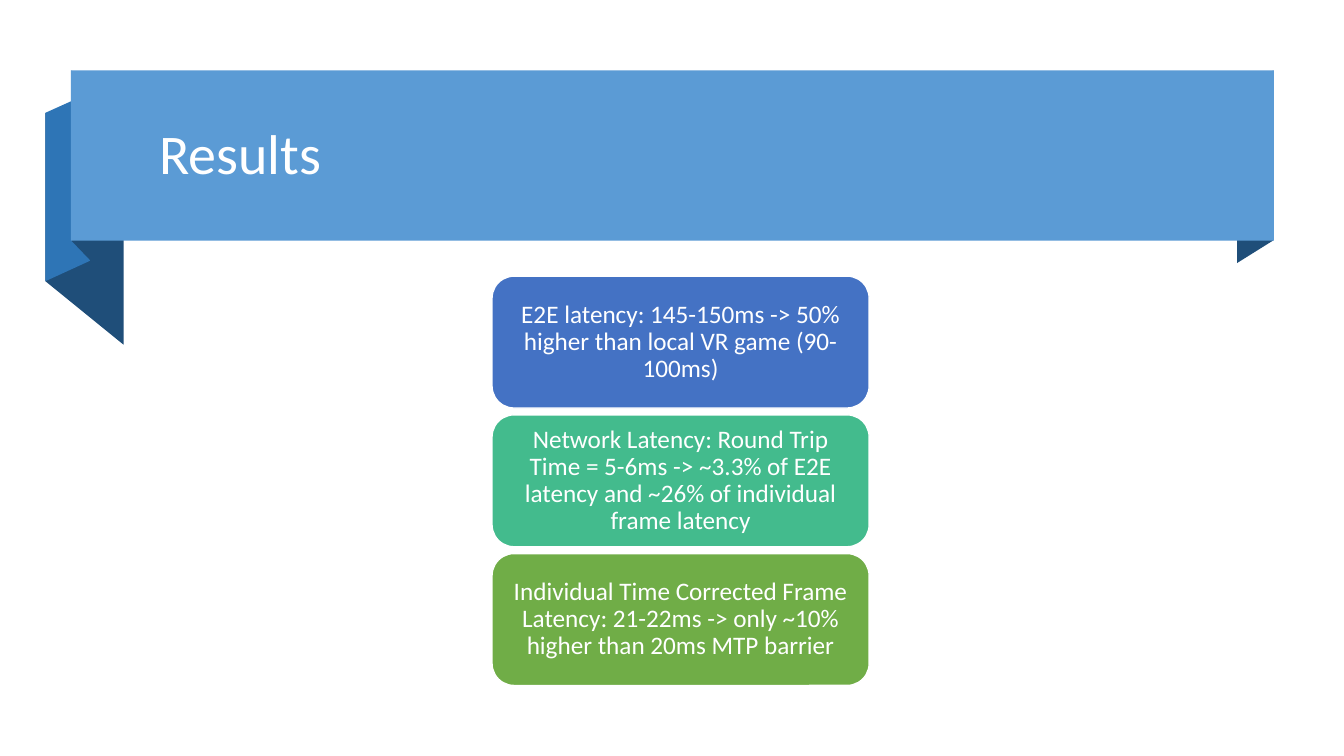
from pptx import Presentation
from pptx.dml.color import RGBColor
from pptx.enum.shapes import MSO_SHAPE
from pptx.enum.text import MSO_ANCHOR, PP_ALIGN
from pptx.util import Inches, Pt

HUES = {
    "white": "FFFFFF", "band": "5B9BD5", "fold": "2E75B6", "dark": "1F4E79",
    "blue": "4472C4", "teal": "43BB8D", "green": "70AD47",
}


class Deck:
    """Places parts on a grid of 100 columns by 100 rows."""

    font = "Calibri"

    def __init__(self):
        self.prs = Presentation()
        self.prs.slide_width, self.prs.slide_height = Inches(13.33), Inches(7.5)
        self.slide = self.prs.slides.add_slide(self.prs.slide_layouts[5])
        self.shapes = self.slide.shapes

    def spot(self, col, row):
        return (round(self.prs.slide_width * col / 100),
                round(self.prs.slide_height * row / 100))

    def box(self, col, row, wide, high):
        return *self.spot(col, row), *self.spot(wide, high)

    def paint(self, shape, hue, edge=None):
        shape.shadow.inherit = False
        shape.fill.solid()
        shape.fill.fore_color.rgb = RGBColor.from_string(HUES[hue])
        if edge:
            shape.line.color.rgb = RGBColor.from_string(HUES[edge])
            shape.line.width = Pt(1)
        else:
            shape.line.fill.background()

    def label(self, shape, text, size, align):
        frame = shape.text_frame
        frame.text, frame.word_wrap = text, True
        frame.vertical_anchor = MSO_ANCHOR.MIDDLE
        line = frame.paragraphs[0]
        line.alignment, line.line_spacing = align, 0.9
        line.font.name, line.font.size = self.font, Pt(size)
        line.font.color.rgb = RGBColor.from_string(HUES["white"])
        return frame

    def fold(self, hue, points):
        start, *rest = [self.spot(*point) for point in points]
        pen = self.shapes.build_freeform(*start)
        pen.add_line_segments(rest, close=True)
        self.paint(pen.convert_to_shape(), hue)

    def band(self, hue, *place):
        self.paint(self.shapes.add_shape(MSO_SHAPE.RECTANGLE, *self.box(*place)), hue)

    def title(self, text, *place):
        head = self.shapes.title
        head.left, head.top, head.width, head.height = self.box(*place)
        self.label(head, text, 40, PP_ALIGN.LEFT)
        # Bring the title in front of the ribbon
        head.element.getparent().append(head.element)

    def card(self, text, hue, *place):
        card = self.shapes.add_shape(MSO_SHAPE.ROUNDED_RECTANGLE, *self.box(*place))
        self.paint(card, hue, "white")
        frame = self.label(card, text, 18, PP_ALIGN.CENTER)
        frame.margin_left = frame.margin_right = Inches(0.07)
        frame.margin_top = frame.margin_bottom = Inches(0.04)


def main():
    deck = Deck()

    # Ribbon folds, from back to front
    folds = [
        ("dark", [(94.75, 31.8), (92.05, 34.8), (92.05, 12.13), (94.75, 9.33)]),
        ("dark", [(9.2, 45.6), (3.38, 37.2), (3.38, 14.93), (9.2, 23.33)]),
        ("fold", [(6.7, 34.5), (3.38, 37.2), (3.38, 14.93), (6.7, 12.27)]),
        ("dark", [(6.7, 34.4), (5.33, 31.87), (5.33, 9.33), (6.7, 11.87)]),
    ]
    for hue, points in folds:
        deck.fold(hue, points)

    # Ribbon front and title
    deck.band("band", 5.28, 9.33, 89.5, 22.5)
    deck.title("Results", 11.1, 11.07, 82.07, 19.33)

    # Result cards, stacked at an equal pitch
    cards = [
        ("blue", "E2E latency: 145-150ms -> 50% higher than local VR game (90-100ms)"),
        ("teal", "Network Latency: Round Trip Time = 5-6ms -> ~3.3% of E2E latency "
                 "and ~26% of individual frame latency"),
        ("green", "Individual Time Corrected Frame Latency: 21-22ms -> only ~10% "
                  "higher than 20ms MTP barrier"),
    ]
    top, pitch = 36.53, 18.35
    for row, (hue, text) in enumerate(cards):
        deck.card(text, hue, 36.61, top + row * pitch, 28.06, 17.45)

    deck.prs.save("out.pptx")


if __name__ == "__main__":
    main()
